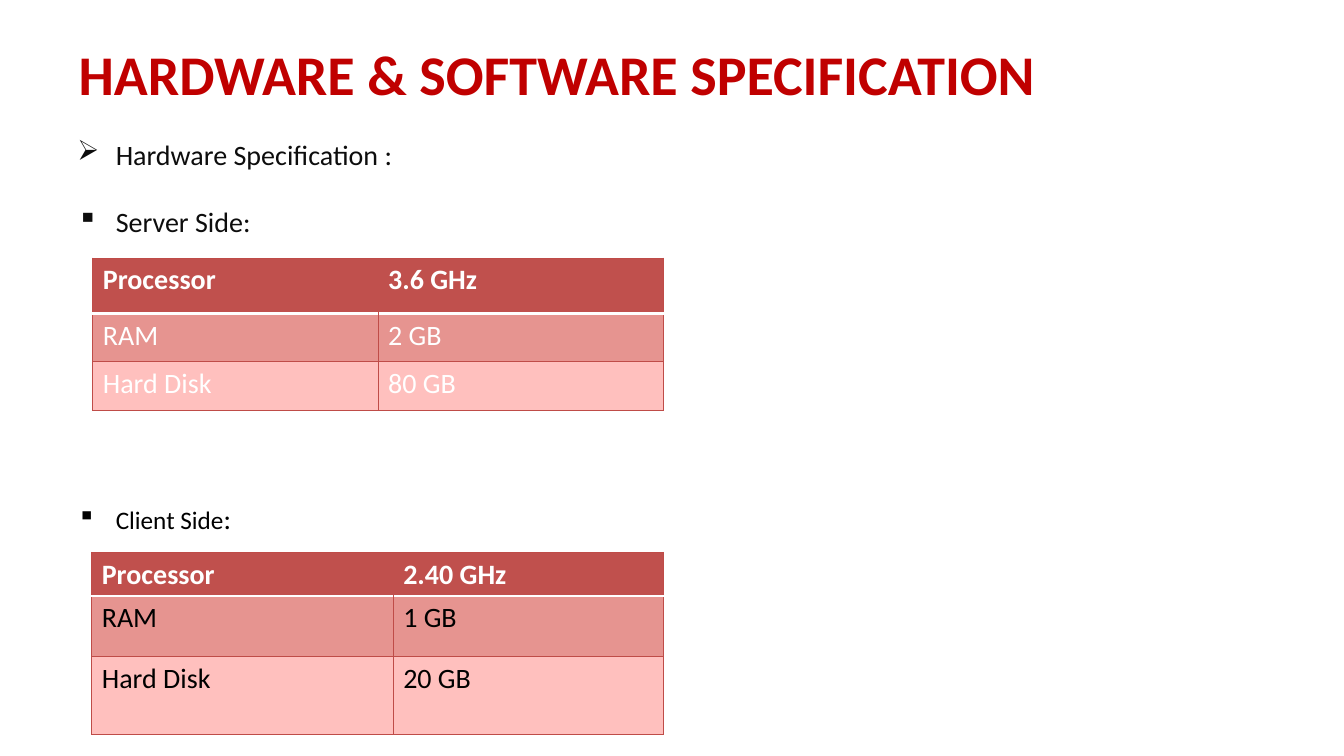
"""Builds the hardware and software specification slide."""
from lxml import etree
from pptx import Presentation
from pptx import util as u
from pptx.dml.color import RGBColor
from pptx.enum import text as t
from pptx.oxml.ns import qn


def color(value):
    return RGBColor.from_string(value)


def add_text(para, text, size=20, ink="000000", bold=False):
    span = para.add_run()
    span.text = text
    span.font.name = "Calibri"
    span.font.size = u.Pt(size)
    span.font.bold = bold
    span.font.color.rgb = color(ink)


def add_bullet(para, symbol):
    props = para._p.get_or_add_pPr()
    indent = u.Inches(0.38)
    props.set("marL", str(indent))
    props.set("indent", str(-indent))
    etree.SubElement(props, qn("a:buChar"), char=symbol)


def set_border(cell, position, side, ink, width):
    line = etree.Element(qn(f"a:ln{side}"), w=str(u.Pt(width)))
    if ink:
        fill = etree.SubElement(line, qn("a:solidFill"))
        etree.SubElement(fill, qn("a:srgbClr"), val=ink)
    else:
        etree.SubElement(line, qn("a:noFill"))
    cell._tc.get_or_add_tcPr().insert(position, line)


class SpecificationSlide:
    ROW_FILLS = ("C0504D", "E69490", "FFC0BE")
    BORDER = "BF4C48"

    def __init__(self, deck):
        self.slide = deck.slides.add_slide(deck.slide_layouts[5])

    def title(self, text, left, top, width, height):
        box = self.slide.shapes.title
        box.left, box.top = u.Inches(left), u.Inches(top)
        box.width, box.height = u.Inches(width), u.Inches(height)
        frame = box.text_frame
        frame.vertical_anchor = t.MSO_ANCHOR.MIDDLE
        frame.margin_left = frame.margin_right = u.Inches(0.11)
        para = frame.paragraphs[0]
        para.alignment = t.PP_ALIGN.LEFT
        add_text(para, text, size=40, ink="C00000", bold=True)

    def bullets(self, items, left, top, width, height):
        box = self.slide.shapes.add_textbox(
            u.Inches(left), u.Inches(top), u.Inches(width), u.Inches(height))
        frame = box.text_frame
        frame.word_wrap = True
        for index, (symbol, spans) in enumerate(items):
            para = frame.add_paragraph() if index else frame.paragraphs[0]
            if index:
                para.space_before = u.Pt(24)
            add_bullet(para, symbol)
            for text, style in spans:
                add_text(para, text, **style)

    def table(self, rows, left, top, widths, heights, body_ink):
        table = self.slide.shapes.add_table(
            len(rows), len(widths), u.Inches(left), u.Inches(top),
            u.Inches(sum(widths)), u.Inches(sum(heights))).table
        table.horz_banding = False
        for column, width in zip(table.columns, widths):
            column.width = u.Inches(width)
        for r, (values, height) in enumerate(zip(rows, heights)):
            table.rows[r].height = u.Inches(height)
            for c, value in enumerate(values):
                cell = table.cell(r, c)
                cell.fill.solid()
                cell.fill.fore_color.rgb = color(self.ROW_FILLS[r])
                add_text(cell.text_frame.paragraphs[0], value,
                         ink=body_ink if r else "FFFFFF", bold=r == 0)
                self.borders(cell, r, c, len(widths) - 1)

    def borders(self, cell, row, column, last_column):
        lines = {side: (self.BORDER, 0.75) for side in "LRTB"}
        if row == 0:
            lines["B"] = ("FFFFFF", 2)
            if column > 0:
                lines["L"] = (None, 0)
            if column < last_column:
                lines["R"] = (None, 0)
        elif row == 1:
            lines["T"] = ("FFFFFF", 2)
        for position, (side, (ink, width)) in enumerate(lines.items()):
            set_border(cell, position, side, ink, width)


def main():
    deck = Presentation()
    deck.slide_width, deck.slide_height = u.Inches(13.33), u.Inches(7.5)
    page = SpecificationSlide(deck)
    page.title("HARDWARE & SOFTWARE SPECIFICATION", 0.67, 0.29, 12, 0.87)
    dark = {"ink": "0D0D0D"}
    page.table([("Processor", "3.6 GHz"), ("RAM", "2 GB"), ("Hard Disk", "80 GB")],
               0.92, 2.56, (2.83, 2.83), (0.55, 0.48, 0.48), "FFFFFF")
    page.bullets([("➢", [("Hardware Specification :", dark)]),
                  ("▪", [("Server Side:", dark)])], 0.67, 1.31, 5.76, 1.11)
    page.bullets([("▪", [("Client Side", {"size": 18}), (":", {})])],
                 0.67, 4.93, 1.78, 0.44)
    page.table([("Processor", "2.40 GHz"), ("RAM", "1 GB"), ("Hard Disk", "20 GB")],
               0.91, 5.48, (2.99, 2.68), (0.43, 0.6, 0.77), "000000")
    deck.save("out.pptx")


if __name__ == "__main__":
    main()
